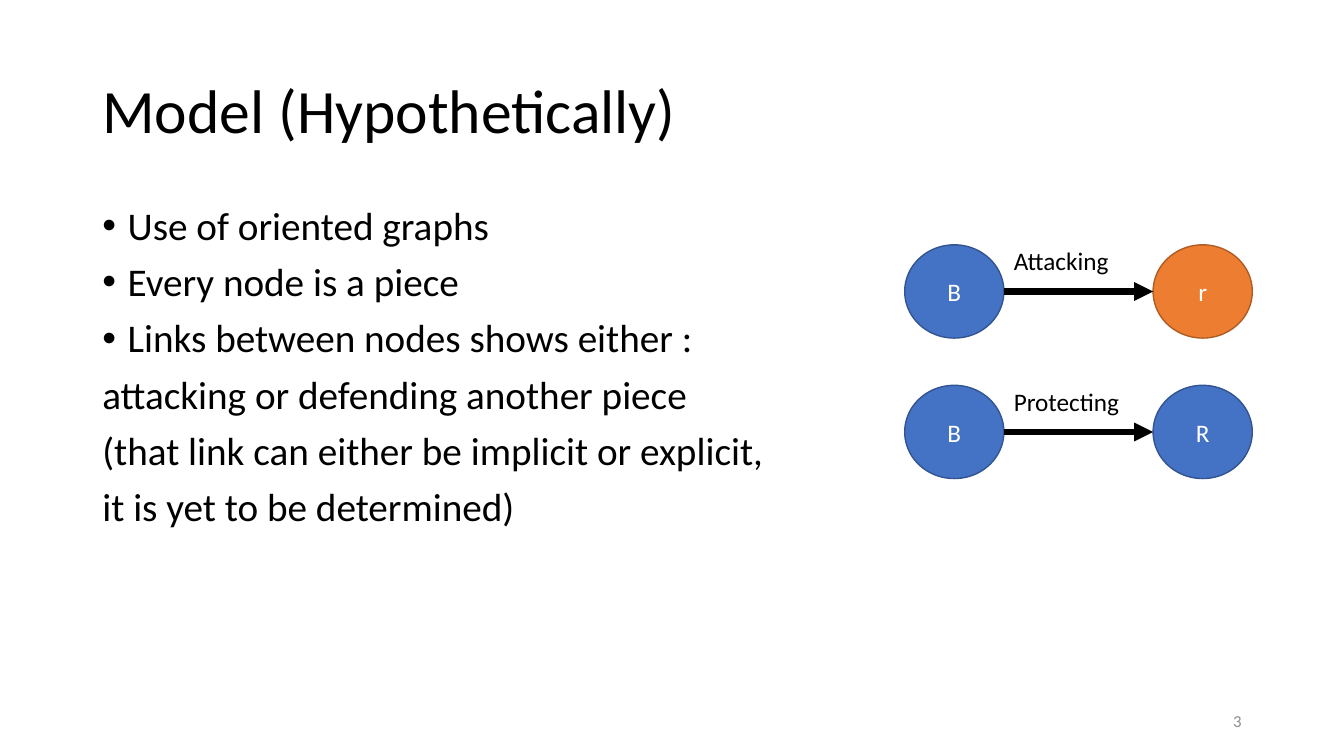
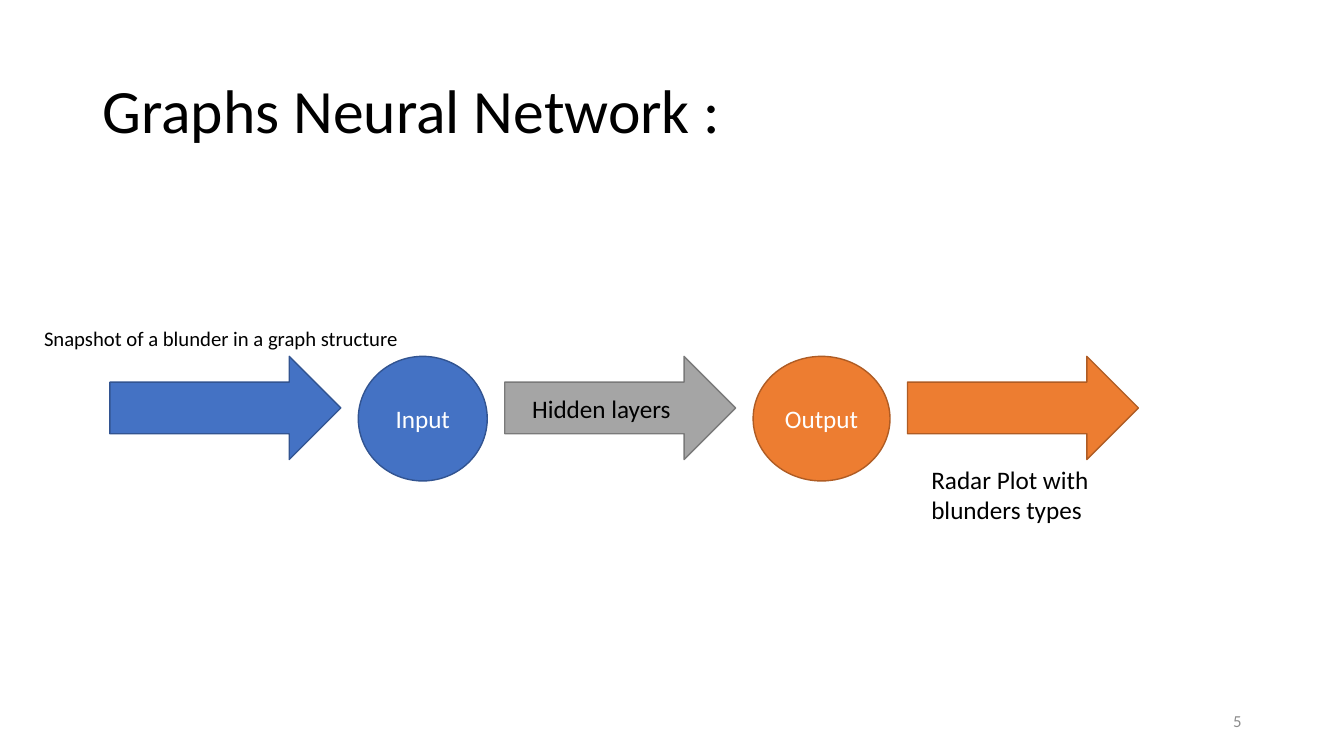
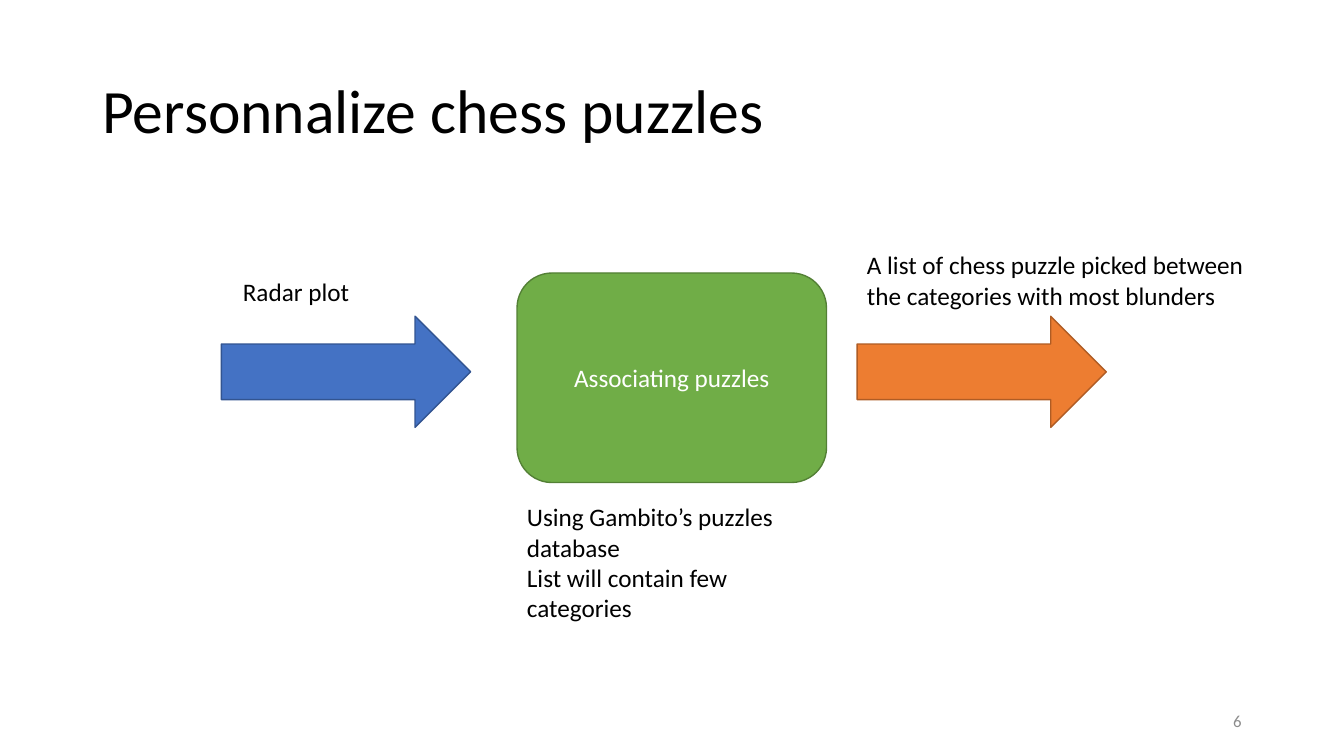
from dataclasses import dataclass

from lxml import etree
from pptx import Presentation
from pptx.dml.color import RGBColor
from pptx.enum.shapes import MSO_CONNECTOR, MSO_SHAPE
from pptx.enum.text import MSO_ANCHOR, PP_ALIGN
from pptx.oxml.ns import qn
from pptx.util import Cm, Pt

LEFT, MID, RIGHT = PP_ALIGN.LEFT, PP_ALIGN.CENTER, PP_ALIGN.RIGHT
TOP, CENTER = MSO_ANCHOR.TOP, MSO_ANCHOR.MIDDLE
OVAL, ROUND, ARROW = MSO_SHAPE.OVAL, MSO_SHAPE.ROUNDED_RECTANGLE, MSO_SHAPE.RIGHT_ARROW
STRAIGHT = MSO_CONNECTOR.STRAIGHT


@dataclass(frozen=True)
class Theme:
    font: str = "Calibri"
    ink: str = "000000"
    paper: str = "FFFFFF"
    muted: str = "8C8C8C"
    # Fill and outline pairs
    blue: tuple = ("4472C4", "325491")
    orange: tuple = ("ED7D31", "AF5C24")
    gray: tuple = ("A5A5A5", "7A7A7A")
    green: tuple = ("70AD47", "538035")
    # Type sizes and line widths in points
    title: float = 44
    body: float = 28
    label: float = 18
    note: float = 14.8
    foot: float = 12
    edge: float = 1
    link: float = 4.5


class Deck:
    def __init__(self, theme):
        self.theme = theme
        self.prs = Presentation()
        self.prs.slide_width, self.prs.slide_height = Cm(33.87), Cm(19.05)

    def start(self, title, number):
        """Add a slide with its title and page number."""
        t = self.theme
        self.slide = self.prs.slides.add_slide(self.prs.slide_layouts[6])
        self.text(2.33, 1.01, 29.21, 3.68, [title], t.title, anchor=CENTER, spacing=0.9)
        self.text(23.92, 17.66, 7.62, 1.01, [number], t.foot, t.muted, RIGHT, CENTER)

    def set_lines(self, frame, lines, size, color, align, anchor):
        frame.word_wrap = True
        frame.vertical_anchor = anchor
        for i, line in enumerate(lines):
            para = frame.paragraphs[0] if i == 0 else frame.add_paragraph()
            para.text = line
            para.alignment = align
            para.font.name = self.theme.font
            para.font.size = Pt(size)
            para.font.color.rgb = RGBColor.from_string(color)

    def text(self, x, y, w, h, lines, size=None, color=None,
             align=LEFT, anchor=TOP, spacing=None, before=0):
        frame = self.slide.shapes.add_textbox(Cm(x), Cm(y), Cm(w), Cm(h)).text_frame
        self.set_lines(frame, lines, size or self.theme.label,
                       color or self.theme.ink, align, anchor)
        for para in frame.paragraphs:
            para.line_spacing = spacing
            para.space_before = Pt(before)
        return frame

    def points(self, x, y, w, h, points, lines):
        """Set bulleted points, then plain lines."""
        frame = self.text(x, y, w, h, points + lines, self.theme.body,
                          spacing=0.9, before=10)
        for para in frame.paragraphs[:len(points)]:
            props = para._p.get_or_add_pPr()
            props.set("marL", str(Cm(0.64)))
            props.set("indent", str(-Cm(0.64)))
            # Bullet marks must come before the default run properties
            font = etree.Element(qn("a:buFont"), typeface="Arial")
            mark = etree.Element(qn("a:buChar"), char="•")
            run = props.find(qn("a:defRPr"))
            run.addprevious(font)
            run.addprevious(mark)

    def shape(self, kind, x, y, w, h, tone, label=None):
        shape = self.slide.shapes.add_shape(kind, Cm(x), Cm(y), Cm(w), Cm(h))
        shape.shadow.inherit = False
        fill, edge = tone
        shape.fill.solid()
        shape.fill.fore_color.rgb = RGBColor.from_string(fill)
        shape.line.color.rgb = RGBColor.from_string(edge)
        shape.line.width = Pt(self.theme.edge)
        if label:
            self.set_lines(shape.text_frame, [label], self.theme.label,
                           self.theme.paper, MID, CENTER)

    def link(self, x, y, end):
        """Draw a level line with an arrowhead at its end."""
        line = self.slide.shapes.add_connector(STRAIGHT, Cm(x), Cm(y), Cm(end), Cm(y))
        line.line.color.rgb = RGBColor.from_string(self.theme.ink)
        line.line.width = Pt(self.theme.link)
        props = line._element.spPr
        etree.SubElement(props.get_or_add_ln(), qn("a:tailEnd")).set("type", "triangle")
        etree.SubElement(props, qn("a:effectLst"))


def model(deck):
    t = deck.theme
    deck.start("Model (Hypothetically)", "3")
    deck.points(2.33, 5.07, 29.21, 12.09,
                ["Use of oriented graphs", "Every node is a piece",
                 "Links between nodes shows either :"],
                ["attacking or defending another piece",
                 "(that link can either be implicit or explicit,",
                 "it is yet to be determined)"])
    # Pairs of linked pieces
    x, top, step, wide, high, gap = 22.8, 6.17, 3.54, 2.5, 2.35, 3.76
    pairs = [("Attacking", "r", t.orange), ("Protecting", "R", t.blue)]
    for i, (label, piece, tone) in enumerate(pairs):
        y = top + i * step
        start, end = x + wide, x + wide + gap
        deck.shape(OVAL, x, y, wide, high, t.blue, "B")
        deck.shape(OVAL, end, y, wide, high, tone, piece)
        deck.link(start, y + high / 2, end)
        deck.text(start, y - 0.11, gap, 1.02, [label])


def network(deck):
    t = deck.theme
    deck.start("Graphs Neural Network :", "5")
    deck.text(0.86, 8.2, 9.6, 0.79, ["Snapshot of a blunder in a graph structure"],
              t.note, spacing=0.8, before=10)
    # Flow from left to right with equal gaps
    x, y, gap = 2.77, 8.98, 0.44
    steps = [(ARROW, 5.82, 2.6, t.blue, None),
             (OVAL, 3.25, 3.14, t.blue, "Input"),
             (ARROW, 5.82, 2.6, t.gray, None),
             (OVAL, 3.45, 3.14, t.orange, "Output"),
             (ARROW, 5.82, 2.6, t.orange, None)]
    for kind, wide, high, tone, label in steps:
        deck.shape(kind, x, y, wide, high, tone, label)
        x += wide + gap
    # Labels
    deck.text(23.22, 11.58, 5.51, 1.8, ["Radar Plot with blunders types"])
    deck.text(13.16, 9.78, 5.82, 1.02, ["Hidden layers"])


def puzzles(deck):
    t = deck.theme
    deck.start("Personnalize chess puzzles", "6")
    # Central step
    deck.shape(ROUND, 13.03, 6.88, 7.8, 5.28, t.green, "Associating puzzles")
    deck.text(13.03, 12.52, 7.8, 3.33, ["Using Gambito’s puzzles database",
                                        "List will contain few categories"])
    # What goes in and what comes out
    for x, tone in ((5.58, t.blue), (21.6, t.orange)):
        deck.shape(ARROW, x, 7.97, 6.28, 2.8, tone)
    deck.text(5.87, 6.83, 5.71, 1.02, ["Radar plot"])
    deck.text(21.6, 6.17, 10.29, 1.8,
              ["A list of chess puzzle picked between the categories with most blunders"])


def main():
    deck = Deck(Theme())
    for build in (model, network, puzzles):
        build(deck)
    deck.prs.save("out.pptx")


if __name__ == "__main__":
    main()
